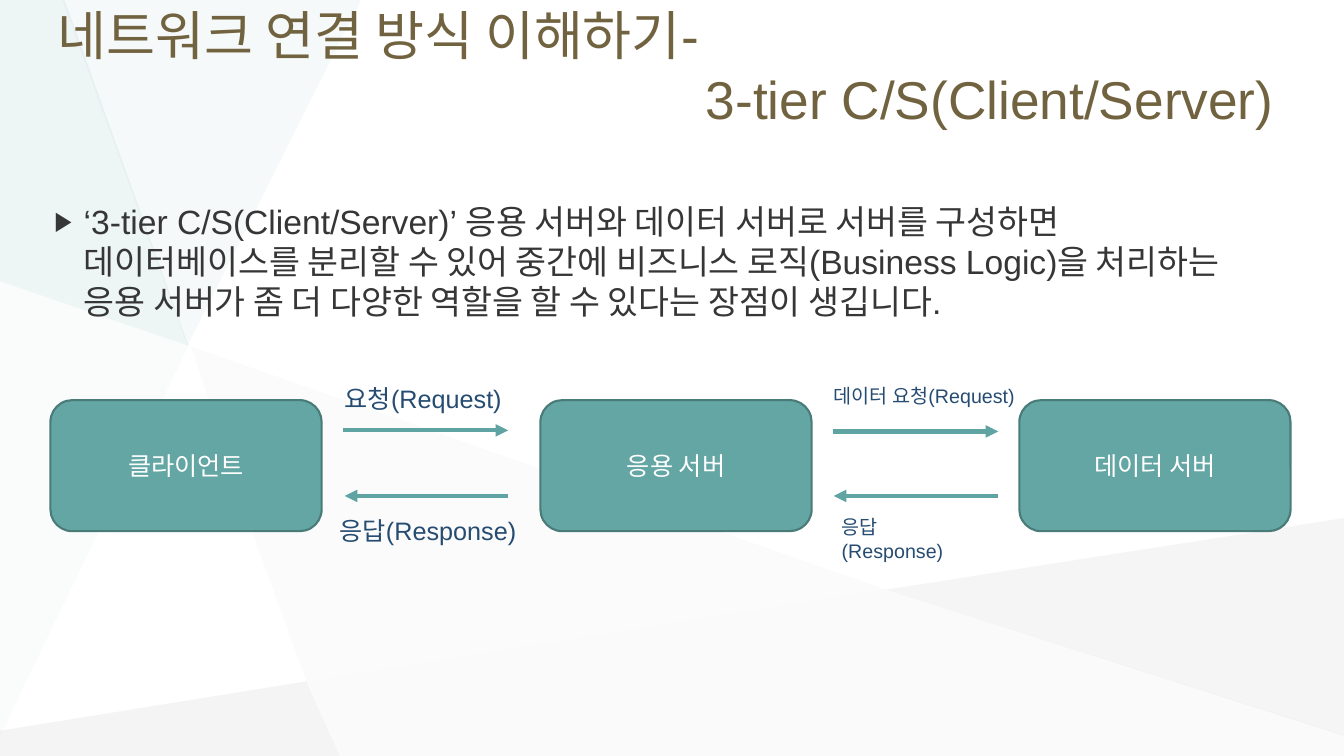
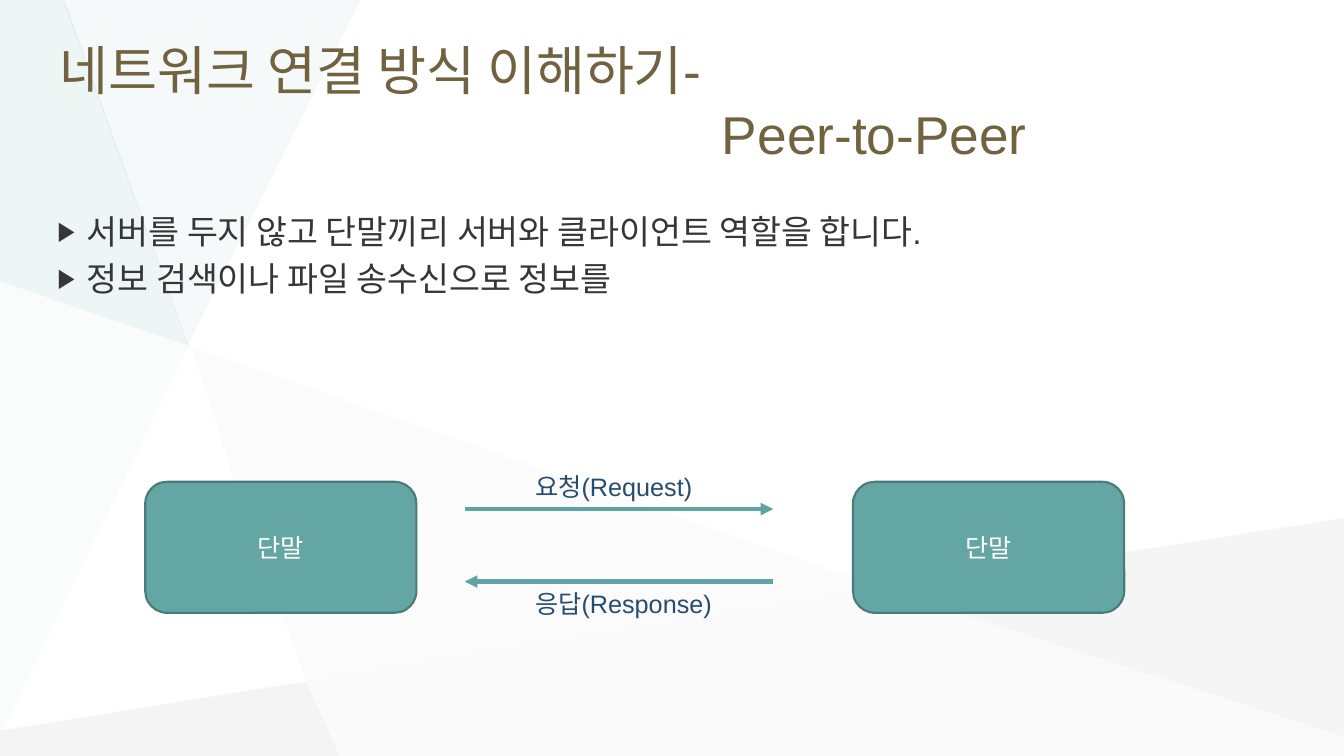
from dataclasses import dataclass

from lxml.etree import SubElement
from pptx import Presentation
from pptx.dml.color import RGBColor
from pptx.enum.shapes import MSO_CONNECTOR, MSO_SHAPE
from pptx.enum.text import MSO_ANCHOR, MSO_AUTO_SIZE, PP_ALIGN
from pptx.oxml.ns import qn
from pptx.slide import Slide, SlideLayout
from pptx.text.text import TextFrame, _Paragraph
from pptx.util import Emu, Pt

EMU_PER_PX = 9144
SLIDE_WIDTH, SLIDE_HEIGHT = 1333, 750
NODE_WIDTH, NODE_HEIGHT = 269, 130
TITLE_WIDTH, TITLE_HEIGHT = 1236, 103
BODY_WIDTH, BODY_HEIGHT = 1236, 543


@dataclass(frozen=True)
class Theme:
    font: str = "Arial"
    title: str = "716340"
    body: str = "363636"
    label: str = "264C72"
    node: str = "63A6A4"
    node_edge: str = "497B79"
    node_text: str = "FFFFFF"
    arrow: str = "5FA4A2"
    title_size: int = 38
    body_size: int = 24
    label_size: int = 18
    small_label_size: int = 14


THEME = Theme()


@dataclass(frozen=True)
class Facet:
    color: str
    opacity: int
    points: tuple[tuple[int, int], ...]


@dataclass(frozen=True)
class Node:
    text: str
    left: int


@dataclass(frozen=True)
class Arrow:
    start: int
    end: int
    y: int


@dataclass(frozen=True)
class Label:
    text: str
    left: int
    top: int
    width: int
    size: int = THEME.label_size


@dataclass(frozen=True)
class Topic:
    heading: str
    subheading: str
    subheading_indent: int
    title_at: tuple[int, int]
    body_at: tuple[int, int]
    points: tuple[str, ...]
    node_top: int
    nodes: tuple[Node, ...]
    arrows: tuple[Arrow, ...]
    labels: tuple[Label, ...]


FACETS = (
    Facet("F3F2F2", 26, ((190, 344), (241, 502), (304, 676), (879, 585))),
    Facet("B6B8BA", 15, ((304, 676), (0, 725), (0, 750), (337, 750))),
    Facet("E0EDED", 31, ((358, 0), (62, 0), (186, 343))),
    Facet("C6C8CA", 17, ((1333, 514), (879, 585), (1333, 730))),
    Facet("B6B8BA", 6, ((879, 585), (305, 676), (337, 750), (1333, 750), (1333, 729))),
    Facet("C1DBDB", 27, ((64, 0), (0, 0), (0, 279), (187, 343))),
    Facet("C1DBDB", 8, ((0, 279), (0, 730), (187, 343))),
)

TOPICS = (
    Topic(
        heading="네트워크 연결 방식 이해하기-",
        subheading="3-tier C/S(Client/Server)",
        subheading_indent=643,
        title_at=(47, 14),
        body_at=(44, 194),
        points=(
            "‘3-tier C/S(Client/Server)’ 응용 서버와 데이터 서버로 서버를 구성하면 "
            "데이터베이스를 분리할 수 있어 중간에 비즈니스 로직(Business Logic)을 처리하는 "
            "응용 서버가 좀 더 다양한 역할을 할 수 있다는 장점이 생깁니다.",
        ),
        node_top=397,
        nodes=(Node("클라이언트", 50), Node("응용 서버", 536), Node("데이터 서버", 1011)),
        arrows=(
            Arrow(340, 504, 427),
            Arrow(504, 342, 492),
            Arrow(826, 990, 428),
            Arrow(990, 827, 492),
        ),
        labels=(
            Label("요청(Request)", 332, 375, 181),
            Label("응답(Response)", 327, 506, 201),
            Label("데이터 요청(Request)", 817, 376, 210, THEME.small_label_size),
            Label("응답\n(Response)", 825, 506, 161, THEME.small_label_size),
        ),
    ),
    Topic(
        heading="네트워크 연결 방식 이해하기-",
        subheading="Peer-to-Peer",
        subheading_indent=657,
        title_at=(49, 49),
        body_at=(47, 204),
        points=(
            "서버를 두지 않고 단말끼리 서버와 클라이언트 역할을 합니다.",
            "정보 검색이나 파일 송수신으로 정보를",
        ),
        node_top=478,
        nodes=(Node("단말", 144), Node("단말", 846)),
        arrows=(Arrow(461, 767, 505), Arrow(767, 461, 577)),
        labels=(
            Label("요청(Request)", 521, 463, 181),
            Label("응답(Response)", 521, 579, 201),
        ),
    ),
)


def px(length: int) -> Emu:
    return Emu(length * EMU_PER_PX)


def rgb(color: str) -> RGBColor:
    return RGBColor.from_string(color)


def write_text(
    frame: TextFrame,
    text: str,
    *,
    size: int,
    color: str,
    align: PP_ALIGN = PP_ALIGN.LEFT,
    anchor: MSO_ANCHOR = MSO_ANCHOR.TOP,
    wrap: bool = True,
    gap: int = 0,
    bulleted: bool = False,
) -> None:
    frame.auto_size = MSO_AUTO_SIZE.NONE
    frame.word_wrap = wrap
    frame.vertical_anchor = anchor
    for index, line in enumerate(text.split("\n")):
        paragraph = frame.add_paragraph() if index else frame.paragraphs[0]
        paragraph.alignment = align
        paragraph.space_before = Pt(gap if index else 0)
        if bulleted:
            add_bullet(paragraph, color)
        run = paragraph.add_run()
        run.text = line
        run.font.name = THEME.font
        run.font.size = Pt(size)
        run.font.color.rgb = rgb(color)


def set_indent(paragraph: _Paragraph, left: int, first: int = 0) -> None:
    properties = paragraph._p.get_or_add_pPr()
    properties.set("marL", str(px(left)))
    properties.set("indent", str(px(first)))


def add_bullet(paragraph: _Paragraph, color: str) -> None:
    set_indent(paragraph, 29, -34)
    properties = paragraph._p.get_or_add_pPr()
    SubElement(SubElement(properties, qn("a:buClr")), qn("a:srgbClr"), val=color)
    SubElement(properties, qn("a:buSzPct"), val="80000")
    SubElement(properties, qn("a:buFont"), typeface=THEME.font)
    SubElement(properties, qn("a:buChar"), char="▶")


def move_facets_to_layout(slide: Slide, layout: SlideLayout) -> None:
    for depth, facet in enumerate(FACETS):
        builder = slide.shapes.build_freeform(*facet.points[0], scale=float(EMU_PER_PX))
        builder.add_line_segments(facet.points[1:], close=True)
        shape = builder.convert_to_shape()
        shape.shadow.inherit = False
        shape.line.fill.background()
        shape.fill.solid()
        shape.fill.fore_color.rgb = rgb(facet.color)
        tint = shape._element.spPr.find(f"{qn('a:solidFill')}/{qn('a:srgbClr')}")
        SubElement(tint, qn("a:alpha"), val=str(facet.opacity * 1000))
        layout.shapes._spTree.insert(2 + depth, shape._element)


def fill_placeholders(slide: Slide, topic: Topic) -> None:
    title, body = slide.shapes.title, slide.placeholders[1]
    title.left, title.top = map(px, topic.title_at)
    title.width, title.height = px(TITLE_WIDTH), px(TITLE_HEIGHT)
    write_text(
        title.text_frame,
        f"{topic.heading}\n{topic.subheading}",
        size=THEME.title_size,
        color=THEME.title,
        anchor=MSO_ANCHOR.MIDDLE,
    )
    set_indent(title.text_frame.paragraphs[1], topic.subheading_indent)
    body.left, body.top = map(px, topic.body_at)
    body.width, body.height = px(BODY_WIDTH), px(BODY_HEIGHT)
    write_text(
        body.text_frame,
        "\n".join(topic.points),
        size=THEME.body_size,
        color=THEME.body,
        gap=5,
        bulleted=True,
    )


def draw_node(slide: Slide, node: Node, top: int) -> None:
    shape = slide.shapes.add_shape(
        MSO_SHAPE.ROUNDED_RECTANGLE, px(node.left), px(top), px(NODE_WIDTH), px(NODE_HEIGHT)
    )
    shape.shadow.inherit = False
    shape.fill.solid()
    shape.fill.fore_color.rgb = rgb(THEME.node)
    shape.line.color.rgb = rgb(THEME.node_edge)
    shape.line.width = Pt(1.5)
    write_text(
        shape.text_frame,
        node.text,
        size=THEME.label_size,
        color=THEME.node_text,
        align=PP_ALIGN.CENTER,
        anchor=MSO_ANCHOR.MIDDLE,
    )


def draw_arrow(slide: Slide, arrow: Arrow) -> None:
    connector = slide.shapes.add_connector(
        MSO_CONNECTOR.STRAIGHT, px(arrow.start), px(arrow.y), px(arrow.end), px(arrow.y)
    )
    connector.line.color.rgb = rgb(THEME.arrow)
    connector.line.width = Pt(3)
    properties = connector._element.spPr
    SubElement(properties.find(qn("a:ln")), qn("a:tailEnd"), type="triangle")
    SubElement(properties, qn("a:effectLst"))


def draw_label(slide: Slide, label: Label) -> None:
    height = 40 if label.size == THEME.label_size else 34
    box = slide.shapes.add_textbox(px(label.left), px(label.top), px(label.width), px(height))
    write_text(box.text_frame, label.text, size=label.size, color=THEME.label, wrap=False)


def build_topic(slide: Slide, topic: Topic) -> None:
    fill_placeholders(slide, topic)
    for node in topic.nodes:
        draw_node(slide, node, topic.node_top)
    for arrow in topic.arrows:
        draw_arrow(slide, arrow)
    for label in topic.labels:
        draw_label(slide, label)


def main() -> None:
    deck = Presentation()
    deck.slide_width, deck.slide_height = px(SLIDE_WIDTH), px(SLIDE_HEIGHT)
    layout = deck.slide_layouts[1]
    slides = [deck.slides.add_slide(layout) for _ in TOPICS]
    move_facets_to_layout(slides[0], layout)
    for slide, topic in zip(slides, TOPICS):
        build_topic(slide, topic)
    deck.save("out.pptx")


if __name__ == "__main__":
    main()
